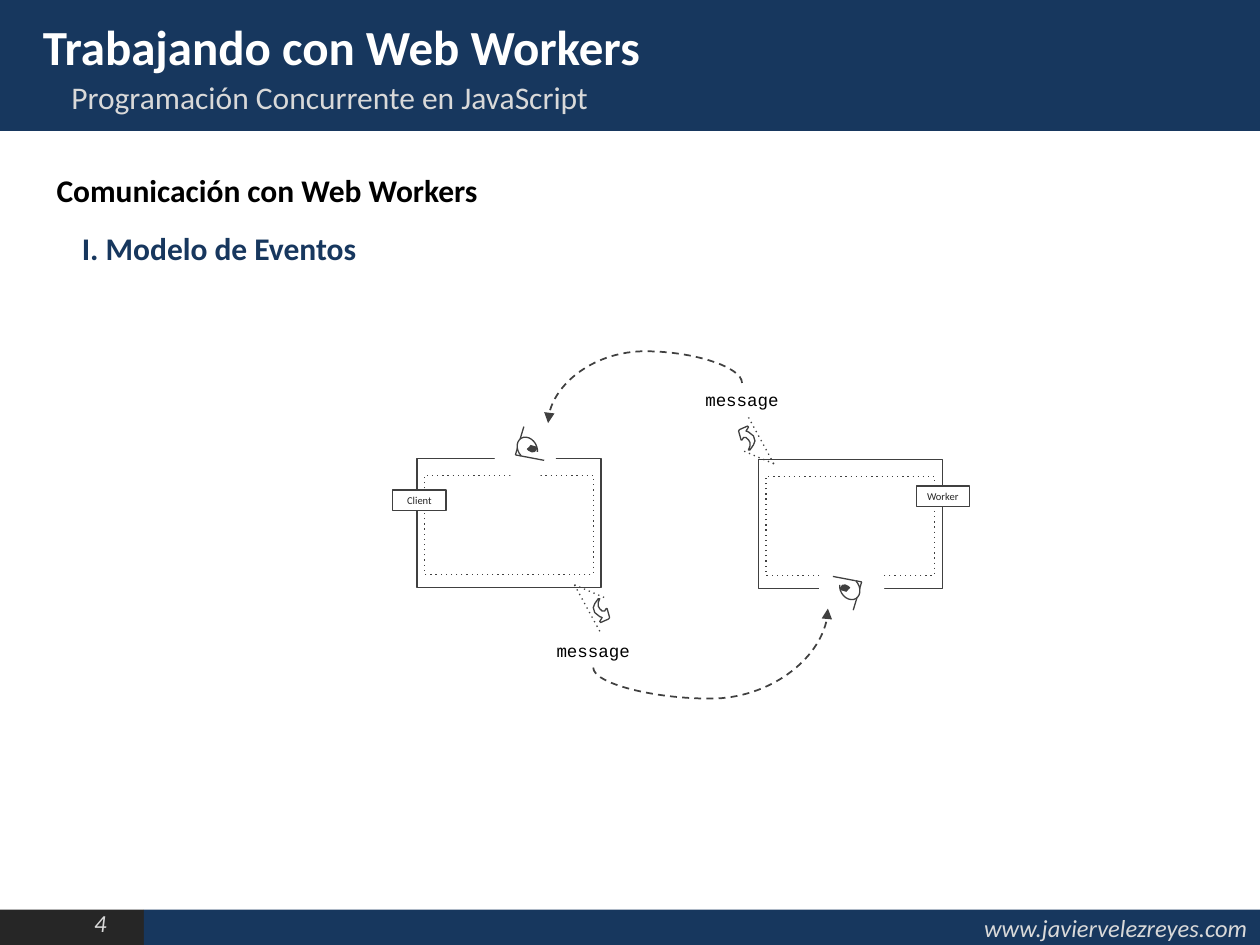
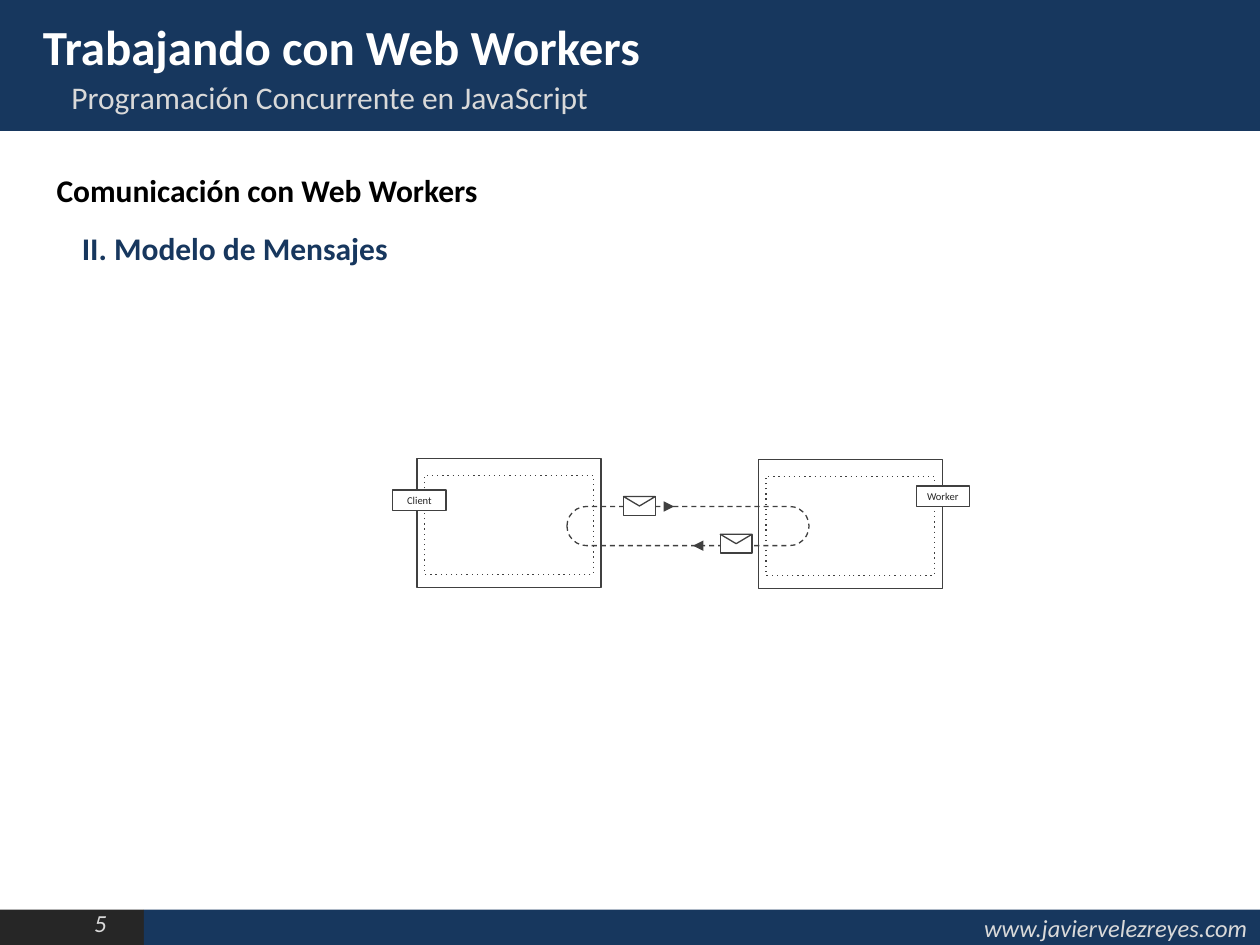
from lxml.etree import SubElement
from pptx import Presentation
from pptx.dml.color import RGBColor
from pptx.enum.shapes import MSO_CONNECTOR as CONN, MSO_SHAPE as SHAPE
from pptx.enum.text import MSO_ANCHOR as ANCHOR, MSO_AUTO_SIZE as AUTO, PP_ALIGN as ALIGN
from pptx.oxml.ns import qn
from pptx.util import Cm, Pt

NAVY = RGBColor(0x17, 0x37, 0x5E)
DARK = RGBColor(0x26, 0x26, 0x26)
GREY = RGBColor(0x40, 0x40, 0x40)
LIGHT = RGBColor(0xD9, 0xD9, 0xD9)
WHITE = RGBColor(0xFF, 0xFF, 0xFF)
BLACK = RGBColor(0, 0, 0)


def write(shape, text, size=18, color=BLACK, bold=False, italic=False, font="Calibri",
          align=ALIGN.LEFT, anchor=ANCHOR.TOP, wrap=True, inset=None):
    tf = shape.text_frame
    tf.auto_size = AUTO.NONE
    tf.word_wrap = wrap
    tf.vertical_anchor = anchor
    if inset is not None:
        tf.margin_left = tf.margin_right = tf.margin_top = tf.margin_bottom = inset
    p = tf.paragraphs[0]
    p.alignment = align
    r = p.add_run()
    r.text = text
    r.font.name, r.font.size = font, Pt(size)
    r.font.bold, r.font.italic = bold, italic
    r.font.color.rgb = color


def paint(item, fill=None, line=GREY, width=0.75, dash=None, arrow=False):
    """Format a shape or a connector: fill, line, arrowhead, no shadow."""
    if line is None:
        item.line.fill.background()
    else:
        item.line.color.rgb = line
        item.line.width = Pt(width)
        ln = item.line._get_or_add_ln()
        if dash:
            SubElement(ln, qn("a:prstDash"), val=dash)
        if arrow:
            SubElement(ln, qn("a:tailEnd"), type="triangle")
    if not hasattr(item, "fill"):
        SubElement(item._element.spPr, qn("a:effectLst"))
        return
    item.shadow.inherit = False
    if fill is None:
        item.fill.background()
    else:
        item.fill.solid()
        item.fill.fore_color.rgb = fill


prs = Presentation()
prs.slide_width, prs.slide_height = Cm(25.4), Cm(19.05)

# Shared frame: bands, headings and the two processes
slides = []
for number, model in ((4, "I. Modelo de Eventos"), (5, "II. Modelo de Mensajes")):
    s = prs.slides.add_slide(prs.slide_layouts[5])
    slides.append(s)
    for x, y, w, h, color, text in ((0, 18.34, 2.9, 0.74, DARK, ""),
                                    (2.9, 18.34, 22.5, 0.74, NAVY, "www.javiervelezreyes.com"),
                                    (0, 0, 25.4, 2.64, NAVY, "")):
        band = s.shapes.add_shape(SHAPE.RECTANGLE, Cm(x), Cm(y), Cm(w), Cm(h))
        paint(band, fill=color, line=None)
        if text:
            write(band, text, size=14, color=LIGHT, italic=True,
                  align=ALIGN.RIGHT, anchor=ANCHOR.MIDDLE)

    title = s.shapes.title
    s.shapes._spTree.append(title._element)  # above the top band
    title.left, title.top, title.width, title.height = Cm(0.61), Cm(0.2), Cm(23.9), Cm(1.19)
    write(title, "Trabajando con Web Workers", size=28, color=WHITE, bold=True)

    for x, y, w, h, text, fmt in (
            (0.3, 18.19, 2.21, 0.86, f"{number} ",
             dict(size=14, color=LIGHT, italic=True, align=ALIGN.RIGHT)),
            (1.19, 1.45, 23.32, 0.99, "Programación Concurrente en JavaScript", dict(color=LIGHT)),
            (0.89, 3.33, 23.32, 0.99, "Comunicación con Web Workers", dict(bold=True)),
            (1.4, 4.5, 8.92, 0.99, model, dict(color=NAVY, bold=True))):
        write(s.shapes.add_textbox(Cm(x), Cm(y), Cm(w), Cm(h)), text, **fmt)

    for name, x, y, tag_x, tag_y in (("Client", 8.41, 9.25, 7.92, 9.88),
                                     ("Worker", 15.29, 9.27, 18.47, 9.8)):
        outer = s.shapes.add_shape(SHAPE.RECTANGLE, Cm(x), Cm(y), Cm(3.71), Cm(2.59))
        paint(outer, fill=WHITE)
        inner = s.shapes.add_shape(SHAPE.RECTANGLE, Cm(x + 0.15), Cm(y + 0.33), Cm(3.4), Cm(2))
        paint(inner, dash="dot")
        tag = s.shapes.add_shape(SHAPE.RECTANGLE, Cm(tag_x), Cm(tag_y), Cm(1.07), Cm(0.41))
        paint(tag, fill=WHITE)
        write(tag, name, size=6, color=DARK, align=ALIGN.CENTER, anchor=ANCHOR.MIDDLE, inset=0)

events, messages = slides

# Event model: the worker's side is the client's side turned by 180 degrees
BENT_ARROW = ((0.48, 0.28), (0.41, 0.38), (0.38, 0.46), (0.41, 0.56), (0.51, 0.64), (0.56, 0.66),
              (0.51, 0.74), (0.53, 0.76), (0.69, 0.69), (0.71, 0.66), (0.66, 0.48), (0.64, 0.48),
              (0.61, 0.53), (0.56, 0.53), (0.51, 0.48), (0.48, 0.43), (0.48, 0.36), (0.51, 0.28))
sp = events.shapes
for side, x, y, text_x, text_y in ((1, 11.58, 11.79, 10.97, 12.78),
                                   (-1, 15.6, 9.35, 13.97, 7.72)):
    for dx, dy in ((0.66, 0.28), (0.53, 0.97)):
        ray = sp.add_connector(CONN.STRAIGHT, Cm(x), Cm(y), Cm(x + side * dx), Cm(y + side * dy))
        paint(ray, dash="dot")
    points = [(Cm(x + side * dx), Cm(y + side * dy)) for dx, dy in BENT_ARROW]
    pen = sp.build_freeform(*points[0])
    pen.add_line_segments(points[1:], close=True)
    paint(pen.convert_to_shape(), fill=WHITE)
    label = sp.add_textbox(Cm(text_x), Cm(text_y), Cm(2.01), Cm(0.69))
    write(label, "message", size=10, font="Courier New", wrap=False)

for side, x, y, gap_x, gap_y in ((1, 10.39, 9.17, 9.93, 8.36), (-1, 17.37, 11.73, 16.51, 11.15)):
    gap = sp.add_shape(SHAPE.OVAL, Cm(gap_x), Cm(gap_y), Cm(1.32), Cm(1.3))
    paint(gap, fill=WHITE, line=None)
    for dx, dy in ((0.17, -0.57), (0.58, 0.11)):
        lid = sp.add_connector(CONN.STRAIGHT, Cm(x + side * dx), Cm(y + side * dy), Cm(x), Cm(y))
        paint(lid)
    for dx, dy, w, h, start, end, color in ((0.24, -0.13, 0.38, 0.48, 158.91, 50.27, WHITE),
                                            (0.31, -0.2, 0.2, 0.3, 47.02, 164.65, GREY)):
        arc = sp.add_shape(SHAPE.ARC, Cm(x + side * dx - w / 2), Cm(y + side * dy - h / 2),
                           Cm(w), Cm(h))
        arc.adjustments[0], arc.adjustments[1] = start * 0.6, end * 0.6
        arc.rotation = 239 + 90 * side
        paint(arc, fill=color)

for x0, y0, x1, y1, turn, bend in ((14.96, 7.72, 11.05, 8.53, 270, -78800),
                                   (11.96, 13.46, 16.69, 12.27, 90, -52600)):
    cx, cy = (x0 + x1) / 2, (y0 + y1) / 2
    half_w, half_h = abs(y1 - y0) / 2, abs(x1 - x0) / 2  # swapped by the quarter turn
    route = sp.add_connector(CONN.CURVE, Cm(cx + half_w), Cm(cy + half_h),
                             Cm(cx - half_w), Cm(cy - half_h))
    paint(route, width=1, dash="dash", arrow=True)
    spPr = route._element.spPr
    spPr.find(qn("a:xfrm")).set("rot", str(turn * 60000))
    guides = spPr.find(qn("a:prstGeom")).find(qn("a:avLst"))
    SubElement(guides, qn("a:gd"), name="adj1", fmla=f"val {bend}")

# Message model: a loop carrying envelopes both ways
sp = messages.shapes
circuit = sp.add_shape(SHAPE.ROUNDED_RECTANGLE, Cm(11.43), Cm(10.21), Cm(4.88), Cm(0.79))
circuit.adjustments[0] = 0.5
paint(circuit, dash="dash")
for x0, x1, y in ((14.15, 13.97, 11), (13.39, 13.59, 10.21)):
    head = sp.add_connector(CONN.STRAIGHT, Cm(x0), Cm(y), Cm(x1), Cm(y))
    paint(head, dash="dash", arrow=True)
for x, y in ((12.57, 10.01), (14.52, 10.77)):
    envelope = sp.add_shape(SHAPE.RECTANGLE, Cm(x), Cm(y), Cm(0.64), Cm(0.38))
    paint(envelope, fill=WHITE)
    flap = sp.add_shape(SHAPE.ISOSCELES_TRIANGLE, Cm(x), Cm(y), Cm(0.64), Cm(0.19))
    flap.rotation = 180
    paint(flap, fill=WHITE)

prs.save("out.pptx")
